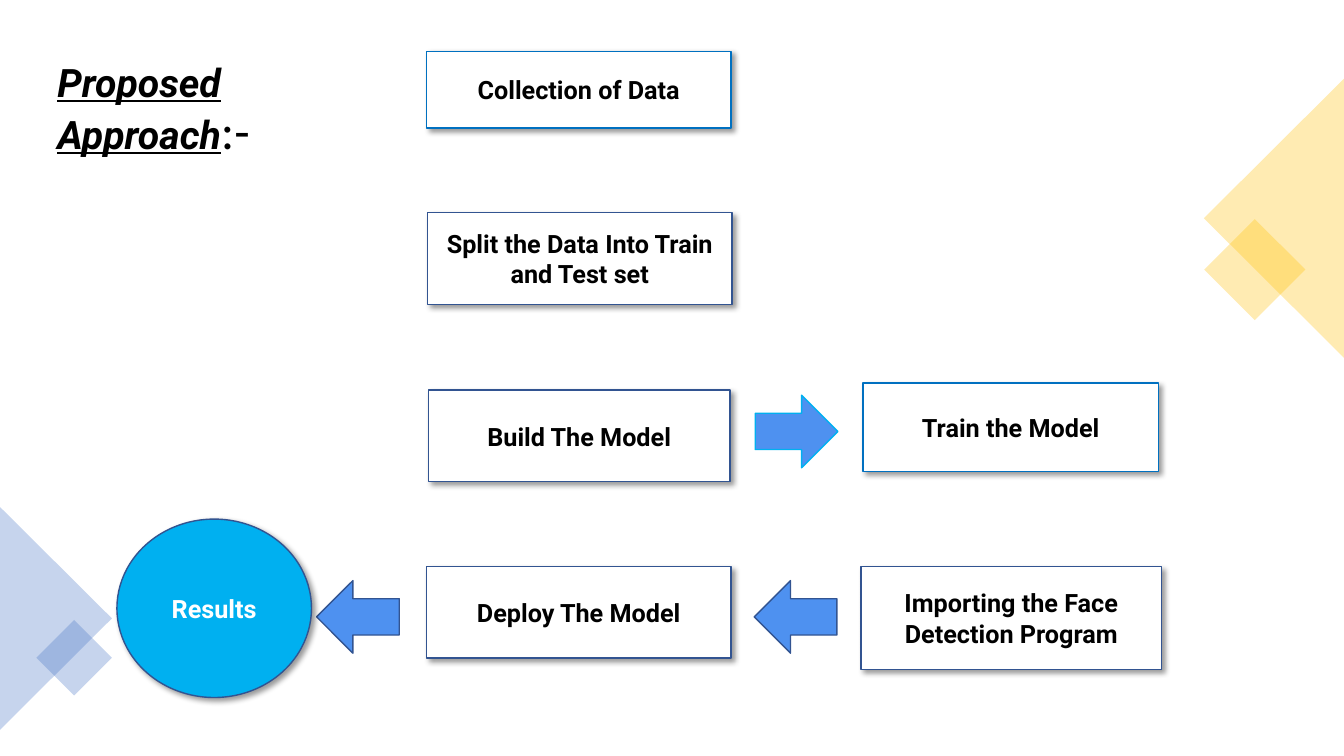
"""Builds the "Proposed Approach" flow slide."""
from lxml import etree
from pptx import Presentation
from pptx.dml.color import RGBColor
from pptx.enum import shapes, text
from pptx.oxml.ns import qn
from pptx.util import Inches, Pt

THEME = {
    "font": "Roboto", "mark_font": "Calibri",
    "title": 28, "mark": 36, "label": 18,
    "black": "000000", "white": "FFFFFF", "navy": "325491", "blue": "0070C0",
    "sky": "00B0F0", "arrow": "4E91F0", "gold": "FFC000", "indigo": "4472C4",
}
KIND = shapes.MSO_SHAPE
TITLE = ("Proposed Approach", ":-")
TITLE_BOX = (0.47, 0.51, 2.79, 1.2)
DECOR = [
    (KIND.RECTANGLE, (12.09, 2.32, 0.71, 0.71), 45, "gold"),
    (KIND.ISOSCELES_TRIANGLE, (11.25, 1.47, 2.77, 1.39), 270, "gold"),
    (KIND.ISOSCELES_TRIANGLE, (-0.55, 5.58, 2.21, 1.11), 90, "indigo"),
    (KIND.RECTANGLE, (0.47, 6.26, 0.53, 0.53), 45, "indigo"),
]
STEPS = [
    ("Collection of Data", (4.23, 0.51, 3.02, 0.76), "blue"),
    ("Split the Data Into Train and Test set", (4.24, 2.11, 3.02, 0.91), "navy"),
    ("Build The Model", (4.25, 3.87, 2.99, 0.91), "navy"),
    ("Train the Model", (8.56, 3.8, 2.93, 0.88), "blue"),
    ("Importing the Face Detection Program", (8.54, 5.62, 2.98, 1.02), "navy"),
    ("Deploy The Model", (4.23, 5.62, 3.02, 0.91), "navy"),
]
RESULT = ("Results", (1.16, 5.15, 1.93, 1.77), "navy")
ARROW_SIZE = (0.82, 0.72)
ARROWS = [
    (KIND.RIGHT_ARROW, (7.49, 3.92), "sky"),
    (KIND.LEFT_ARROW, (7.48, 5.76), "navy"),
    (KIND.LEFT_ARROW, (3.14, 5.76), "navy"),
]


def color(name):
    return RGBColor.from_string(THEME[name])


def style(r, size, ink, font="font", bold=True):
    r.font.name, r.font.size, r.font.bold = THEME[font], Pt(THEME[size]), bold
    r.font.color.rgb = color(ink)


def add_shape(s, kind, box, fill, line=None):
    sp = s.shapes.add_shape(kind, *map(Inches, box))
    sp.shadow.inherit = False
    sp.fill.solid()
    sp.fill.fore_color.rgb = color(fill)
    if line:
        sp.line.color.rgb = color(line)
        sp.line.width = Pt(1)
    else:
        sp.line.fill.background()
    return sp


def set_alpha(clr, percent):
    etree.SubElement(clr, qn("a:alpha"), val=str(percent * 1000))


def add_shadow(sp):
    effects = sp._element.spPr.find(qn("a:effectLst"))
    shadow = etree.SubElement(
        effects, qn("a:outerShdw"), blurRad=str(Pt(4)), dist=str(Pt(3)),
        dir=str(45 * 60000), algn="tl", rotWithShape="0")
    set_alpha(etree.SubElement(shadow, qn("a:srgbClr"), val=THEME["black"]), 40)


def add_step(s, kind, step, fill, ink):
    label, box, line = step
    sp = add_shape(s, kind, box, fill, line)
    add_shadow(sp)
    tf = sp.text_frame
    tf.word_wrap = True
    tf.vertical_anchor = text.MSO_ANCHOR.MIDDLE
    p = tf.paragraphs[0]
    p.text = label
    p.alignment = text.PP_ALIGN.CENTER
    style(p.runs[0], "label", ink)


def add_title(s):
    tf = s.shapes.add_textbox(*map(Inches, TITLE_BOX)).text_frame
    tf.word_wrap = True
    tf.vertical_anchor = text.MSO_ANCHOR.MIDDLE
    p = tf.paragraphs[0]
    p.line_spacing = 0.9
    name, mark = TITLE
    p.text = name
    r = p.runs[0]
    style(r, "title", "black")
    r.font.italic = r.font.underline = True
    r = p.add_run()
    r.text = mark
    style(r, "mark", "black", "mark_font", bold=False)


def main():
    prs = Presentation()
    prs.slide_width, prs.slide_height = Inches(13.33), Inches(7.5)
    s = prs.slides.add_slide(prs.slide_layouts[6])
    add_title(s)
    for kind, box, turn, fill in DECOR:
        sp = add_shape(s, kind, box, fill)
        sp.rotation = turn
        set_alpha(sp._element.spPr.find(qn("a:solidFill"))[0], 30)
    for step in STEPS:
        add_step(s, KIND.RECTANGLE, step, "white", "black")
    for kind, corner, line in ARROWS:
        add_shape(s, kind, corner + ARROW_SIZE, "arrow", line)
    add_step(s, KIND.OVAL, RESULT, "sky", "white")
    prs.save("out.pptx")


if __name__ == "__main__":
    main()
